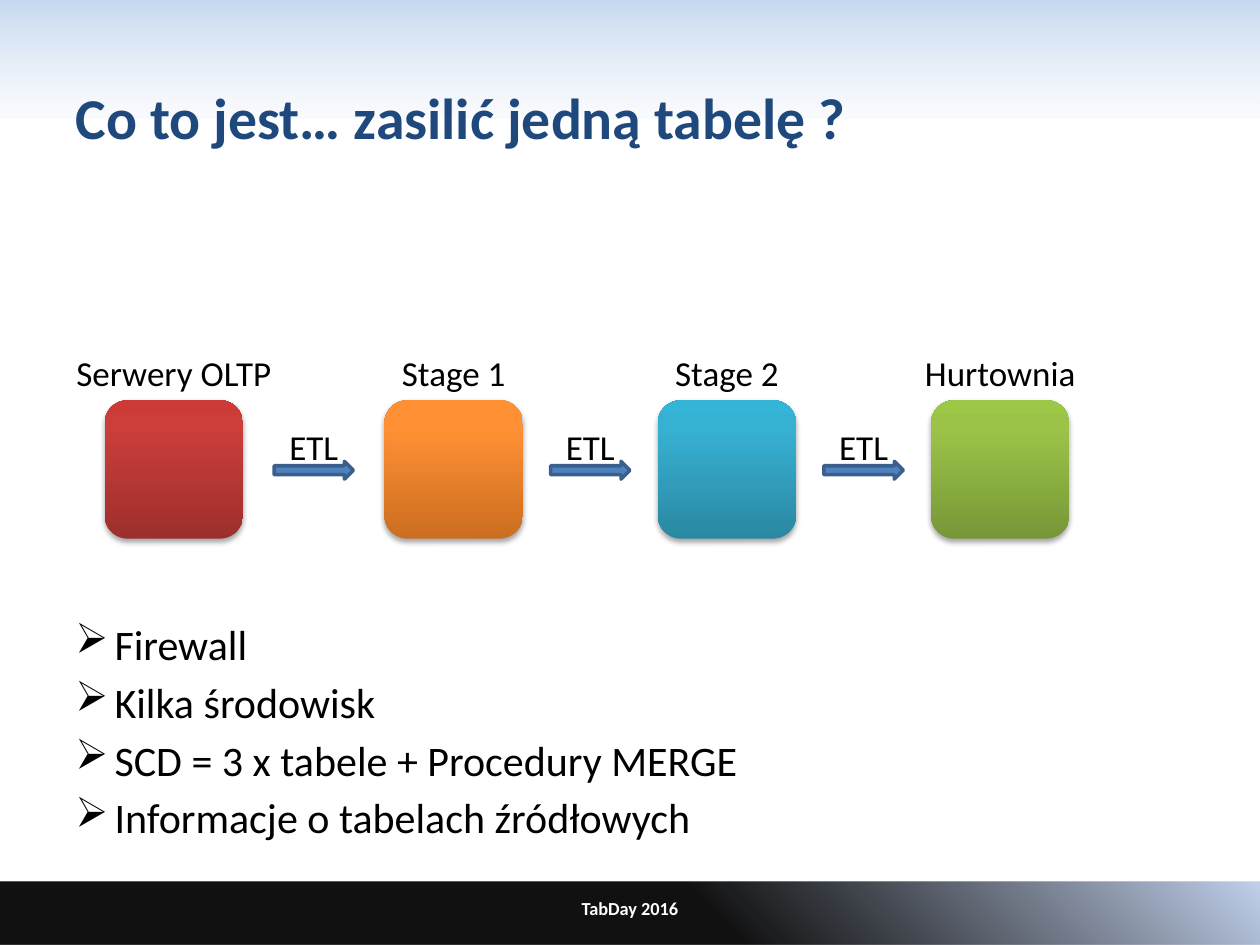
from typing import NamedTuple

from lxml import etree
from pptx import Presentation
from pptx import util as u
from pptx.dml.color import RGBColor
from pptx.enum import shapes, text
from pptx.oxml.ns import qn

FONT = "Calibri"
BOX, BOX_TOP = 2.79, 8.07
ARROW_W, ARROW_H, ARROW_TOP = 1.6, 0.36, 9.3
LABEL_H = 1.12
POINTS = [
    "Firewall",
    "Kilka środowisk",
    "SCD = 3 x tabele + Procedury MERGE",
    "Informacje o tabelach źródłowych",
]


class Stop(NamedTuple):
    pos: int
    color: str
    alpha: int = 100


class Stage(NamedTuple):
    name: str
    left: float
    width: float
    dark: str
    main: str
    light: str


STAGES = [
    Stage("Serwery OLTP", 2.11, 4.47, "9C2F2D", "CB3E3A", "CE3B37"),
    Stage("Stage 1", 7.75, 2.62, "CC6E20", "FF9034", "FF9136"),
    Stage("Stage 2", 13.26, 2.62, "2A88A2", "37B1D2", "34B4D6"),
    Stage("Hurtownia", 18.77, 3.58, "779737", "9BC348", "9DC746"),
]


def rgb(code: str) -> RGBColor:
    return RGBColor.from_string(code)


def node(parent, tag: str, **attrs):
    return etree.SubElement(parent, qn(tag), {k: str(v) for k, v in attrs.items()})


def tint(parent, color: str, alpha: int) -> None:
    """Add a colour with its opacity in percent."""
    node(node(parent, "a:srgbClr", val=color), "a:alpha", val=alpha * 1000)


def style(para, size: float, color: str, bold: bool = False) -> None:
    font = para.font
    font.name, font.size, font.bold = FONT, u.Pt(size), bold
    font.color.rgb = rgb(color)


def shape(slide, kind, left: float, top: float, width: float, height: float):
    item = slide.shapes.add_shape(kind, u.Cm(left), u.Cm(top), u.Cm(width), u.Cm(height))
    item.shadow.inherit = False
    return item


def blend(item, stops: list[Stop], angle: int) -> None:
    """Fill with a gradient, angle clockwise, and drop the outline."""
    item.fill.gradient()
    grad = item._element.spPr.find(qn("a:gradFill"))
    for child in list(grad):
        grad.remove(child)
    items = node(grad, "a:gsLst")
    for stop in stops:
        tint(node(items, "a:gs", pos=stop.pos * 1000), stop.color, stop.alpha)
    node(grad, "a:lin", ang=angle * 60000, scaled=0)
    item.line.fill.background()


def label(slide, words: str, mid: float, top: float, width: float, height: float = LABEL_H,
          size: float = 20, color: str = "000000", bold: bool = False):
    """Add a line of text centred on mid."""
    item = slide.shapes.add_textbox(
        u.Cm(mid - width / 2), u.Cm(top), u.Cm(width), u.Cm(height))
    frame = item.text_frame
    frame.word_wrap = False
    para = frame.paragraphs[0]
    para.text, para.alignment = words, text.PP_ALIGN.CENTER
    style(para, size, color, bold)
    return item


def draw_stage(slide, stage: Stage) -> None:
    box = shape(slide, shapes.MSO_SHAPE.ROUNDED_RECTANGLE, stage.left, BOX_TOP, BOX, BOX)
    blend(box, [Stop(0, stage.dark), Stop(80, stage.main), Stop(100, stage.light)], 270)
    glow = node(box._element.spPr.find(qn("a:effectLst")), "a:outerShdw",
                blurRad=u.Pt(3.1), dist=u.Pt(1.8), dir=90 * 60000, rotWithShape=0)
    tint(glow, "000000", 35)
    label(slide, stage.name, stage.left + BOX / 2, 6.96, stage.width)


def draw_flow(slide, start: Stage, end: Stage) -> None:
    """Put an arrow in the middle of the gap between two stages."""
    mid = (start.left + BOX + end.left) / 2
    arrow = shape(slide, shapes.MSO_SHAPE.RIGHT_ARROW,
                  mid - ARROW_W / 2, ARROW_TOP, ARROW_W, ARROW_H)
    arrow.fill.solid()
    arrow.fill.fore_color.rgb = rgb("4F81BD")
    arrow.line.color.rgb = rgb("3A5F8C")
    arrow.line.width = u.Pt(2)
    label(slide, "ETL", mid, 8.45, 1.5)


def draw_bars(slide) -> None:
    head = shape(slide, shapes.MSO_SHAPE.RECTANGLE, 0, 0, 25.4, 2.39)
    blend(head, [Stop(0, "C6D9F1"), Stop(100, "E1E8F5", 16)], 90)
    foot = shape(slide, shapes.MSO_SHAPE.RECTANGLE, 0, 17.77, 25.4, 1.28)
    blend(foot, [Stop(56, "000000", 93), Stop(100, "C2D1ED")], 315)
    note = label(slide, "TabDay 2016", 12.7, 17.78, 11.23, 1.07, 10.5, "FFFFFF", True)
    note.text_frame.vertical_anchor = text.MSO_ANCHOR.MIDDLE


def draw_title(slide) -> None:
    title = slide.shapes.title
    title.left, title.top, title.width, title.height = map(u.Cm, (1.27, 0.76, 22.86, 3.18))
    frame = title.text_frame
    frame.vertical_anchor = text.MSO_ANCHOR.MIDDLE
    para = frame.paragraphs[0]
    para.text, para.alignment = "Co to jest… zasilić jedną tabelę ?", text.PP_ALIGN.LEFT
    style(para, 33, "1F497D", True)
    slide.shapes._spTree.append(title._element)  # in front of the bars


def draw_points(slide) -> None:
    item = slide.shapes.add_textbox(u.Cm(1.27), u.Cm(12.2), u.Cm(14.07), u.Cm(4.95))
    frame = item.text_frame
    frame.word_wrap = True
    for i, words in enumerate(POINTS):
        para = frame.add_paragraph() if i else frame.paragraphs[0]
        para.text, para.line_spacing = words, u.Pt(33)
        style(para, 24, "000000")
        props = para._p.get_or_add_pPr()
        props.set("marL", str(u.Cm(0.79)))
        props.set("indent", str(-u.Cm(0.79)))
        bullet = etree.Element(qn("a:buChar"), char="➢")
        props.find(qn("a:defRPr")).addprevious(bullet)


def main() -> None:
    deck = Presentation()
    deck.slide_width, deck.slide_height = u.Cm(25.4), u.Cm(19.05)
    slide = deck.slides.add_slide(deck.slide_layouts[5])
    draw_bars(slide)
    draw_title(slide)
    for stage in STAGES:
        draw_stage(slide, stage)
    for start, end in zip(STAGES, STAGES[1:]):
        draw_flow(slide, start, end)
    draw_points(slide)
    deck.save("out.pptx")


if __name__ == "__main__":
    main()
